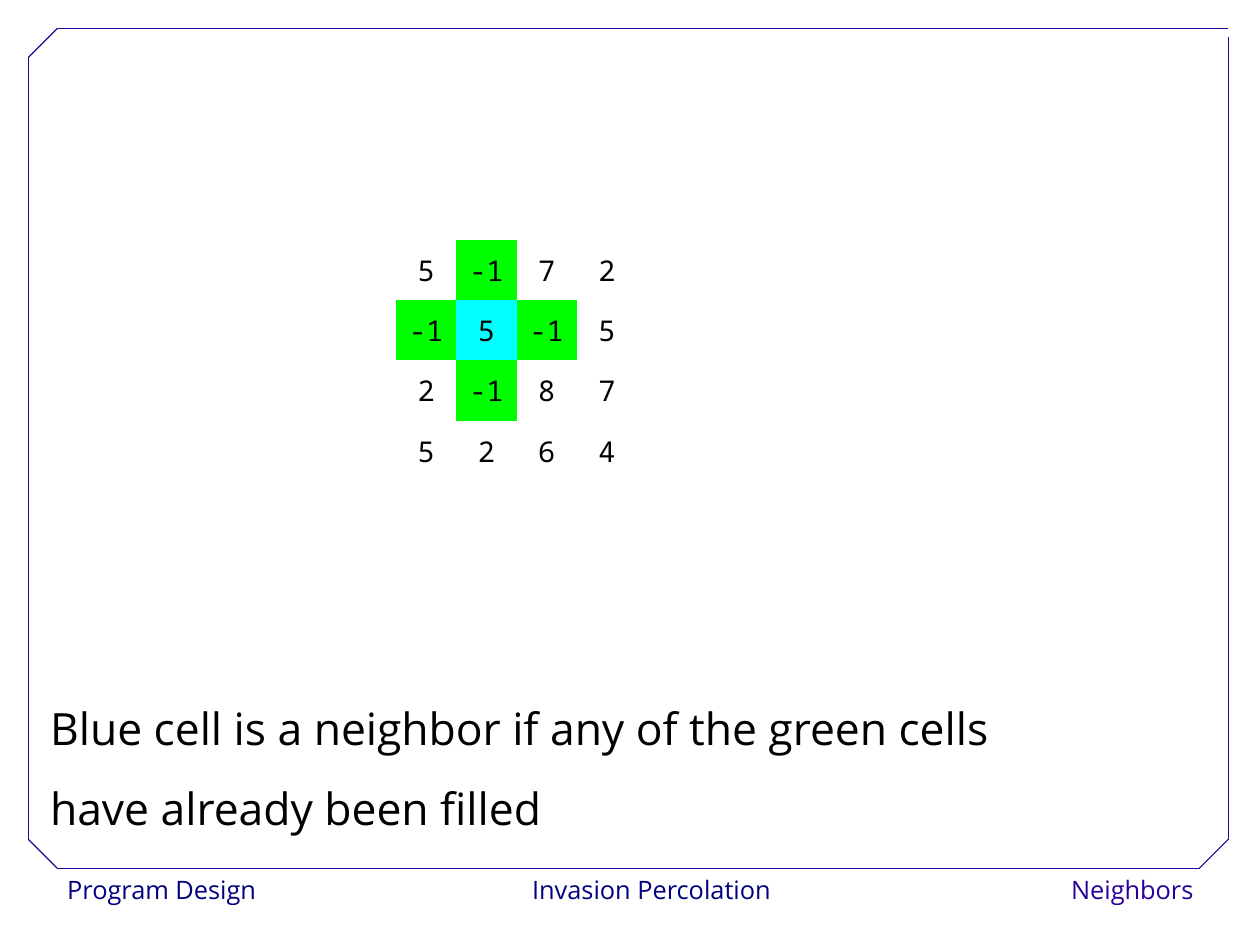
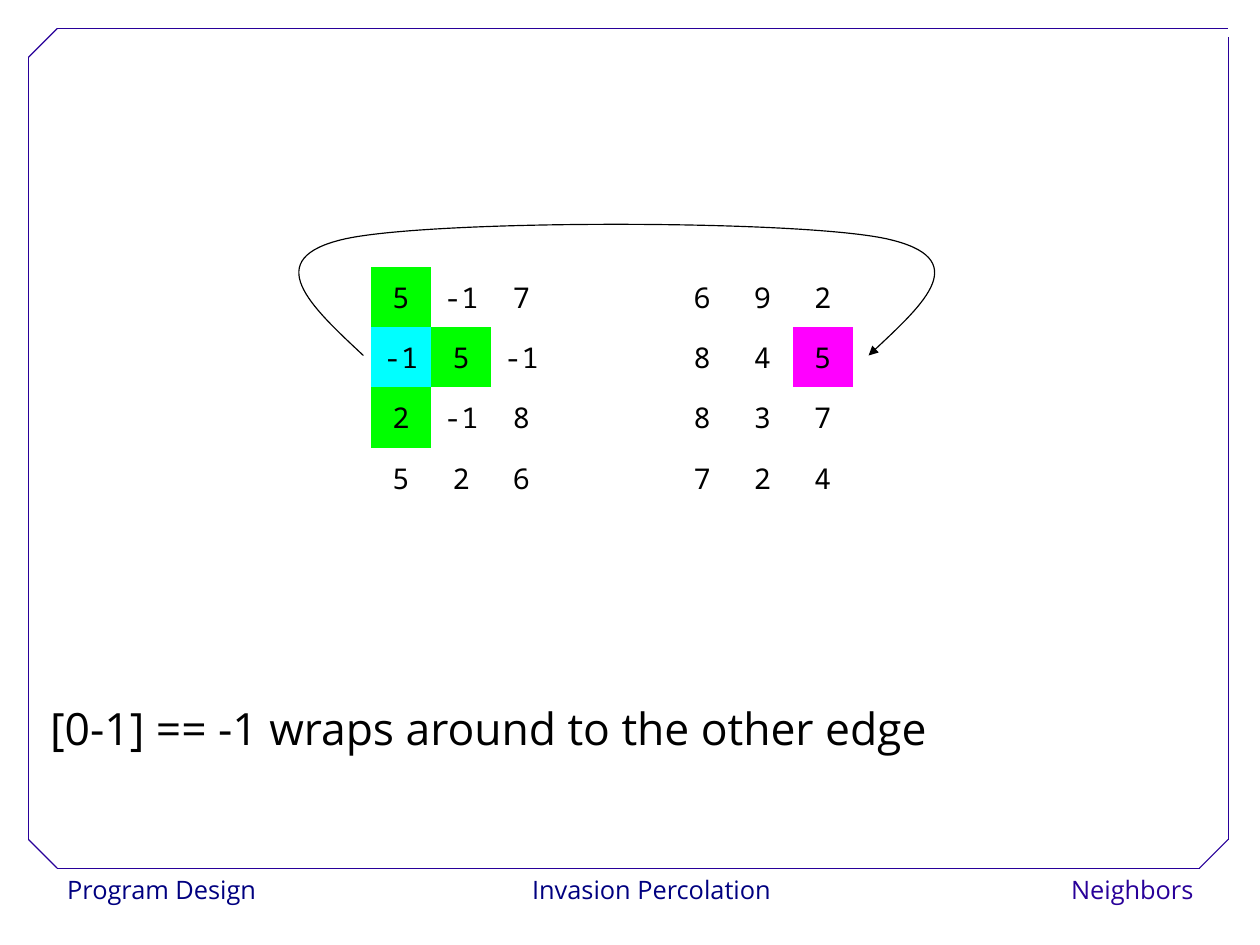
import dataclasses

import lxml.etree
import pptx
import pptx.dml.color
import pptx.enum.shapes
import pptx.enum.text
import pptx.oxml.ns
import pptx.util

qn = pptx.oxml.ns.qn
ALIGN = pptx.enum.text.PP_ALIGN


@dataclasses.dataclass(frozen=True)
class Theme:
    ink = pptx.dml.color.RGBColor.from_string("000000")
    navy = pptx.dml.color.RGBColor.from_string("000080")
    frame = pptx.dml.color.RGBColor.from_string("280099")
    green = pptx.dml.color.RGBColor.from_string("00FF00")
    blue = pptx.dml.color.RGBColor.from_string("00FFFF")
    pink = pptx.dml.color.RGBColor.from_string("FF00FF")
    sans = "Open Sans"
    mono = "Noto Sans Mono"
    footer_size = pptx.util.Pt(16)
    cell_size = pptx.util.Pt(18)
    caption_size = pptx.util.Pt(28)
    line_width = pptx.util.Pt(0.75)


theme = Theme()


def grid(*counts):
    return [pptx.util.Inches(count * 0.25) for count in counts]


def write_text(frame, text, *, size, color=theme.ink, font=theme.sans, align=ALIGN.LEFT, spacing=1.02):
    for index, line in enumerate(text.split("\n")):
        para = frame.add_paragraph() if index else frame.paragraphs[0]
        para.alignment = align
        para.line_spacing = spacing
        span = para.add_run()
        span.text = line
        span.font.name = font
        span.font.size = size
        span.font.color.rgb = color


deck = pptx.Presentation()
deck.slide_width = pptx.util.Cm(28)
deck.slide_height = pptx.util.Cm(21)
blank = deck.slide_layouts[6]
for placeholder in list(blank.placeholders):
    placeholder.element.getparent().remove(placeholder.element)
pages = [deck.slides.add_slide(blank) for _ in range(2)]

left, top, right, bottom = 1, 1, 42.98, 30.38
footers = [
    ("Program Design", 1.96, 7.6, ALIGN.LEFT, theme.navy),
    ("Invasion Percolation", 18, 9.6, ALIGN.CENTER, theme.navy),
    ("Neighbors", 36.16, 6, ALIGN.RIGHT, theme.frame),
]
frame_lines = [
    (left + 1, bottom, right - 1, bottom),
    (left, bottom - 1, left, top + 1),
    (left + 1, top, right, top),
    (right, bottom - 1, right, top + 0.28),
    (left, top + 1, left + 1, top),
    (right - 1, bottom, right, bottom - 1),
    (left, bottom - 1, left + 1, bottom),
]
shared = []
for text, start, width, align, color in footers:
    box = pages[0].shapes.add_textbox(*grid(start, bottom, width, 1.6))
    box.text_frame.word_wrap = True
    write_text(box.text_frame, text, size=theme.footer_size, color=color, align=align)
    shared.append(box)
for ends in frame_lines:
    line = pages[0].shapes.add_connector(pptx.enum.shapes.MSO_CONNECTOR.STRAIGHT, *grid(*ends))
    line.line.color.rgb = theme.frame
    line.line.width = theme.line_width
    lxml.etree.SubElement(line.element.spPr, qn("a:effectLst"))
    shared.append(line)
for shape in shared:
    blank.shapes.element.append(shape.element)

captions = [
    ("Blue cell is a neighbor if any of the green cells\nhave already been filled", 38.12, 6),
    ("[0-1] == -1 wraps around to the other edge", 35.8, 3.2),
]
for page, (text, width, height) in zip(pages, captions):
    box = page.shapes.add_textbox(*grid(1.36, 23.4, width, height))
    box.text_frame.word_wrap = True
    write_text(box.text_frame, text, size=theme.caption_size, spacing=1.5)

cell_side = 2.11
no_grid_style = "{2D5ABB26-0587-4C30-8999-92F81FD0307C}"
tables = [
    (
        13.86,
        8.39,
        ["5 -1 7 2", "-1 5 -1 5", "2 -1 8 7", "5 2 6 4"],
        {
            (0, 1): theme.green,
            (1, 0): theme.green,
            (1, 1): theme.blue,
            (1, 2): theme.green,
            (2, 1): theme.green,
        },
    ),
    (
        12.98,
        9.34,
        ["5 -1 7 . . 6 9 2", "-1 5 -1 . . 8 4 5", "2 -1 8 . . 8 3 7", "5 2 6 . . 7 2 4"],
        {
            (0, 0): theme.green,
            (1, 0): theme.blue,
            (1, 1): theme.green,
            (2, 0): theme.green,
            (1, 7): theme.pink,
        },
    ),
]
for page, (start, above, lines, fills) in zip(pages, tables):
    rows = [line.split() for line in lines]
    across, down = len(rows[0]), len(rows)
    holder = page.shapes.add_table(
        down, across, *grid(start, above, across * cell_side, down * cell_side)
    )
    for style in holder.element.iter(qn("a:tableStyleId")):
        style.text = no_grid_style
    table = holder.table
    table.first_row = False
    table.horz_banding = False
    for row, values in enumerate(rows):
        for column, value in enumerate(values):
            cell = table.cell(row, column)
            cell.vertical_anchor = pptx.enum.text.MSO_ANCHOR.MIDDLE
            if (row, column) in fills:
                cell.fill.solid()
                cell.fill.fore_color.rgb = fills[row, column]
            else:
                cell.fill.background()
            if value != ".":
                write_text(
                    cell.text_frame, value, size=theme.cell_size, font=theme.mono, align=ALIGN.CENTER
                )

arc_axis = 21.56
left_half = [(12.72, 12.44), (10.88, 10.72), (9.04, 9.04), (12.08, 8.36), (15.16, 7.68)]
right_half = [(2 * arc_axis - x, y) for x, y in reversed(left_half)]
arc_points = [grid(*point) for point in left_half + right_half]
builder = pages[1].shapes.build_freeform(*arc_points[0])
builder.add_line_segments(arc_points[1:], close=False)
arc = builder.convert_to_shape()
arc.shadow.inherit = False
arc.fill.background()
arc.line.color.rgb = theme.ink
arc.line.width = theme.line_width

segments = list(arc.element.iter(qn("a:lnTo")))
outline = segments[0].getparent()
for first in range(0, len(segments), 3):
    curve = lxml.etree.SubElement(outline, qn("a:cubicBezTo"))
    for segment in segments[first:first + 3]:
        curve.append(segment[0])
        outline.remove(segment)
stroke = next(arc.element.iter(qn("a:ln")))
lxml.etree.SubElement(stroke, qn("a:tailEnd"), type="triangle")

deck.save("out.pptx")
